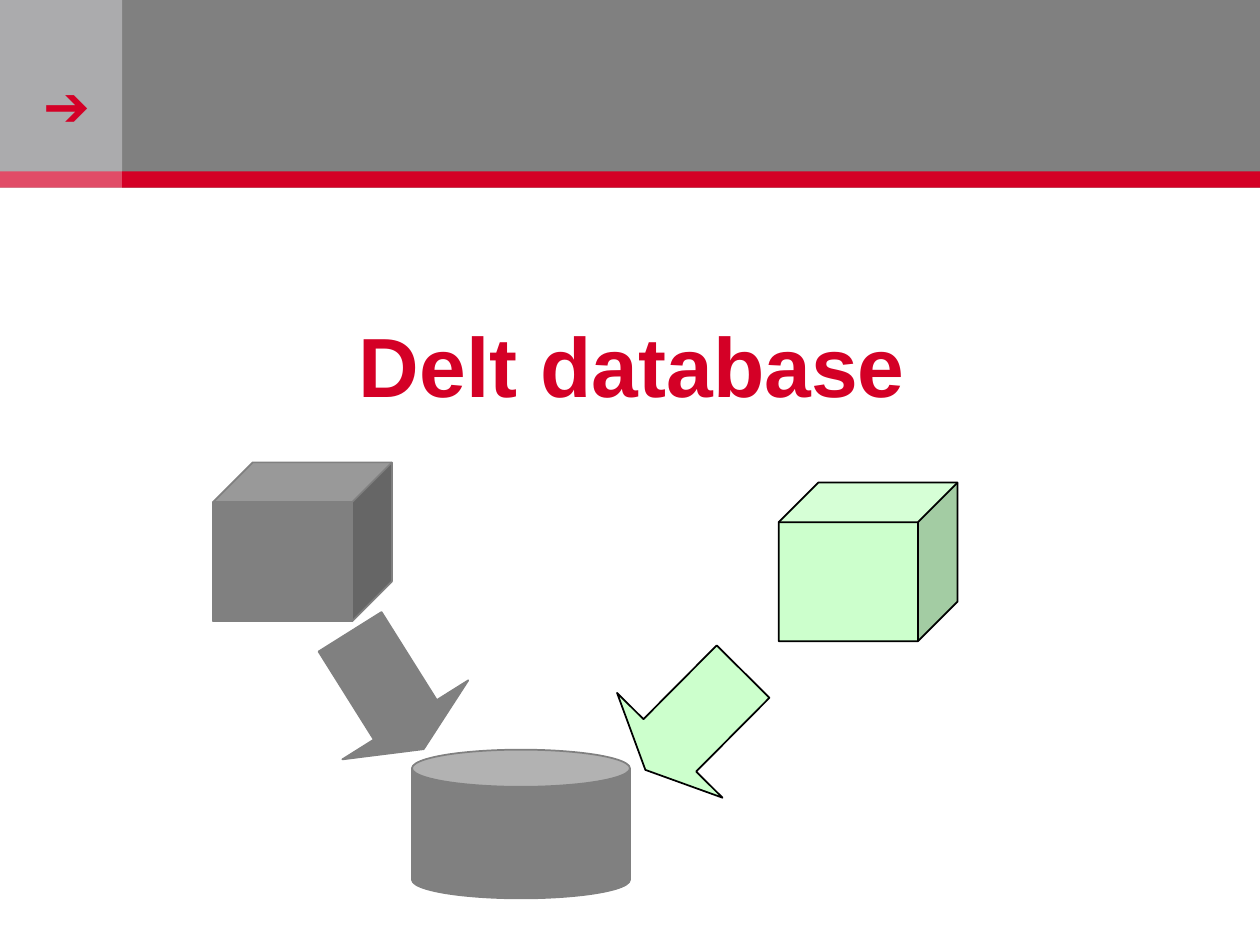
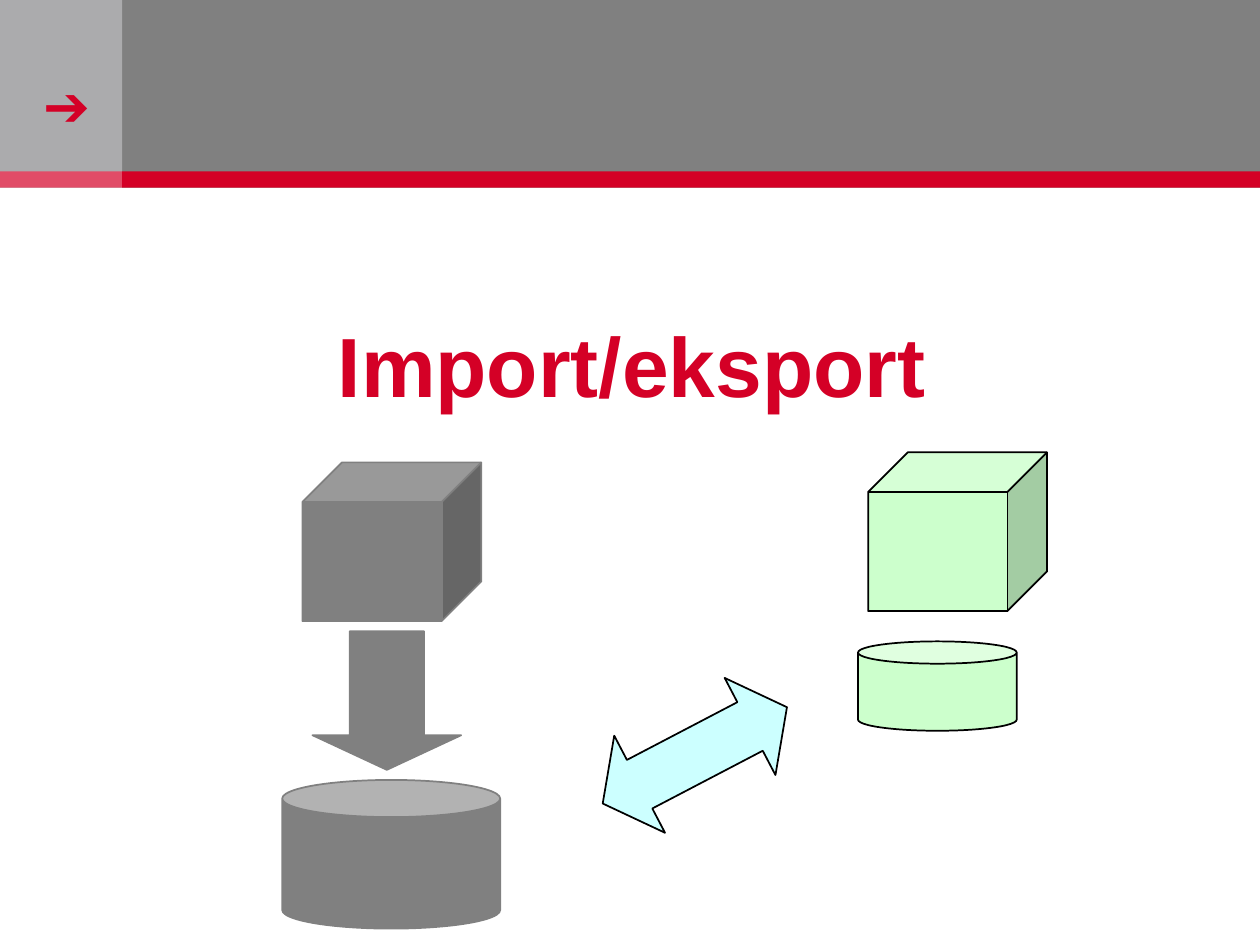
from dataclasses import dataclass

from pptx import Presentation
from pptx.dml.color import RGBColor
from pptx.enum.shapes import MSO_SHAPE as Preset
from pptx.enum.text import MSO_ANCHOR, MSO_AUTO_SIZE, PP_ALIGN
from pptx.shapes.autoshape import Shape
from pptx.slide import Slide, SlideMaster
from pptx.text.text import TextFrame
from pptx.util import Inches, Length, Pt

COLUMNS, ROWS = 40, 30
CELL = 0.25  # inches, for columns and rows alike

RED, PINK = "D40026", "E14C67"
GRAY, SILVER = "808080", "ABABAD"
GREEN, CYAN, BLACK = "CCFFCC", "CCFFFF", "000000"
FONT = "Arial"

SIDE_WIDTH, HEADER_HEIGHT, STRIPE_TOP = 3.88, 5.96, 5.44


@dataclass(frozen=True)
class Area:
    """A rectangle in grid columns and rows."""
    column: float
    row: float
    columns: float
    rows: float

    def lengths(self) -> list[Length]:
        return [Inches(cells * CELL)
                for cells in (self.column, self.row, self.columns, self.rows)]


@dataclass(frozen=True)
class Band:
    area: Area
    fill: str


@dataclass(frozen=True)
class Symbol:
    """A kind of diagram element with its usual size and adjustments."""
    preset: Preset
    columns: float
    rows: float
    adjustments: tuple[float, ...] = (0.25,)


@dataclass(frozen=True)
class Piece:
    symbol: Symbol
    column: float
    row: float
    fill: str = GRAY
    line: str = GRAY
    rotation: float = 0


@dataclass(frozen=True)
class Diagram:
    title: str
    pieces: tuple[Piece, ...]


BANDS = (
    Band(Area(SIDE_WIDTH, 0, COLUMNS - SIDE_WIDTH, HEADER_HEIGHT), GRAY),
    Band(Area(0, 0, SIDE_WIDTH, HEADER_HEIGHT), SILVER),
    Band(Area(0, STRIPE_TOP, SIDE_WIDTH, HEADER_HEIGHT - STRIPE_TOP), PINK),
    Band(Area(SIDE_WIDTH, STRIPE_TOP, COLUMNS - SIDE_WIDTH,
              HEADER_HEIGHT - STRIPE_TOP), RED),
)
MARKER_AREA = Area(1, 2.04, 2.68, 2.56)
TITLE_AREA = Area(3.92, 6.48, 32.28, 9.6)

PROGRAM = Symbol(Preset.CUBE, 5.68, 5.04)
DATABASE = Symbol(Preset.CAN, 6.92, 4.72)
SMALL_DATABASE = Symbol(Preset.CAN, 5.04, 2.84)
FLOW = Symbol(Preset.UP_ARROW, 4.72, 4.4, (0.5, 0.25))
EXCHANGE = Symbol(Preset.LEFT_RIGHT_ARROW, 6.6, 3.48, (0.5, 0.38))

DIAGRAMS = (
    Diagram("Delt database", (
        Piece(DATABASE, 13.08, 23.8),
        Piece(PROGRAM, 6.76, 14.68),
        Piece(PROGRAM, 24.72, 15.32, GREEN, BLACK),
        Piece(FLOW, 9.92, 19.72, rotation=147.9),
        Piece(FLOW, 19.68, 20.68, GREEN, BLACK, rotation=224.8),
    )),
    Diagram("Import/eksport", (
        Piece(DATABASE, 8.96, 24.76),
        Piece(PROGRAM, 9.6, 14.68),
        Piece(PROGRAM, 27.56, 14.36, GREEN, BLACK),
        Piece(FLOW, 9.92, 20.04, rotation=180),
        Piece(SMALL_DATABASE, 27.24, 20.36, GREEN, BLACK),
        Piece(EXCHANGE, 18.76, 22.24, CYAN, BLACK, rotation=332.4),
    )),
)


def rgb(color: str) -> RGBColor:
    return RGBColor.from_string(color)


def write(frame: TextFrame, text: str, size: float, bold: bool = False) -> None:
    frame.word_wrap = True
    frame.auto_size = MSO_AUTO_SIZE.NONE
    frame.text = text
    font = frame.paragraphs[0].font
    font.name, font.size, font.bold = FONT, Pt(size), bold
    font.color.rgb = rgb(RED)


def add_filled(slide: Slide, preset: Preset, area: Area, fill: str) -> Shape:
    shape = slide.shapes.add_shape(preset, *area.lengths())
    shape.shadow.inherit = False
    shape.fill.solid()
    shape.fill.fore_color.rgb = rgb(fill)
    shape.line.fill.background()
    return shape


def add_header(slide: Slide, master: SlideMaster) -> None:
    """Draw the header on a slide, then move it to the master behind the rest."""
    header = [add_filled(slide, Preset.RECTANGLE, band.area, band.fill)
              for band in BANDS]
    marker = slide.shapes.add_textbox(*MARKER_AREA.lengths())
    write(marker.text_frame, "➔", 32)
    first_position = 2
    for position, shape in enumerate([*header, marker], first_position):
        master.shapes.element.insert(position, shape.element)


def add_title(slide: Slide, text: str) -> None:
    title = slide.shapes.title
    title.left, title.top, title.width, title.height = TITLE_AREA.lengths()
    frame = title.text_frame
    write(frame, text, 48, bold=True)
    frame.vertical_anchor = MSO_ANCHOR.MIDDLE
    frame.margin_top = Inches(0.18)
    frame.paragraphs[0].alignment = PP_ALIGN.CENTER


def add_piece(slide: Slide, piece: Piece) -> None:
    symbol = piece.symbol
    area = Area(piece.column, piece.row, symbol.columns, symbol.rows)
    shape = add_filled(slide, symbol.preset, area, piece.fill)
    for index, value in enumerate(symbol.adjustments):
        shape.adjustments[index] = value
    shape.line.color.rgb = rgb(piece.line)
    shape.line.width = Pt(1)
    shape.rotation = piece.rotation


def main() -> None:
    deck = Presentation()
    deck.slide_width = Inches(COLUMNS * CELL)
    deck.slide_height = Inches(ROWS * CELL)
    title_only = deck.slide_layouts.get_by_name("Title Only")
    for diagram in DIAGRAMS:
        slide = deck.slides.add_slide(title_only)
        add_title(slide, diagram.title)
        for piece in diagram.pieces:
            add_piece(slide, piece)
    add_header(deck.slides[0], deck.slide_master)
    deck.save("out.pptx")


if __name__ == "__main__":
    main()
